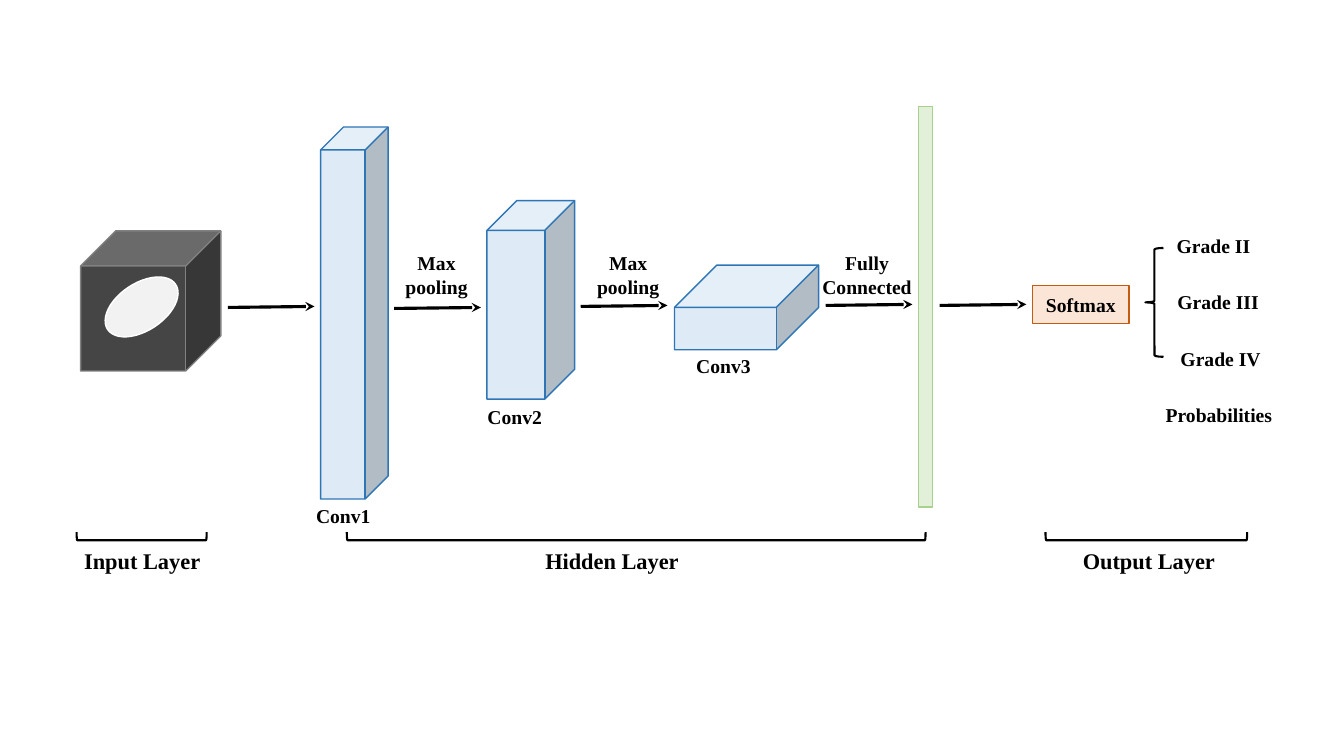
import pptx
import pptx.dml.color
import pptx.enum.shapes
import pptx.enum.text
import pptx.oxml.ns
import pptx.util
from lxml import etree

Inches, Pt = pptx.util.Inches, pptx.util.Pt
SHAPE = pptx.enum.shapes.MSO_SHAPE
ALIGN = pptx.enum.text.PP_ALIGN
ANCHOR = pptx.enum.text.MSO_ANCHOR

# Colours (fill, line) and type sizes
THEME = {
    "font": "Times New Roman", "ink": "000000",
    "label": 14, "layer": 16,
    "scan": ("454545", "808080"), "lesion": ("F2F2F2", "FFFFFF"),
    "conv": ("DEEBF7", "2E75B6"), "dense": ("E2F0D9", "A9D18E"),
    "softmax": ("FBE5D6", "C55A11"), "bracket": (None, "000000"),
}
ARROW_LENGTH = 0.86
LABEL_HEIGHT = 0.34


def rgb(value):
    return pptx.dml.color.RGBColor.from_string(value)


def set_values(target, values):
    for name, value in values.items():
        setattr(target, name, value)


def place(box, x, y, w, h):
    """Turn a position inside a region box into slide lengths."""
    return [Inches(v) for v in (box[0] + x, box[1] + y, w, h)]


def add_part(slide, box, kind, at, role, line_width=1, rotation=0, depth=None):
    part = slide.shapes.add_shape(kind, *place(box, *at))
    part.shadow.inherit = False
    part.rotation = rotation
    fill, line = THEME[role]
    if fill:
        part.fill.solid()
        part.fill.fore_color.rgb = rgb(fill)
    else:
        part.fill.background()
    part.line.color.rgb = rgb(line)
    part.line.width = Pt(line_width)
    if depth is not None:
        part.adjustments[0] = depth
    return part


def write(frame, text, size, align):
    frame.word_wrap = True
    frame.text = text
    for paragraph in frame.paragraphs:
        paragraph.alignment = align
        set_values(paragraph.runs[0].font, {
            "name": THEME["font"], "size": Pt(THEME[size]), "bold": True})
        paragraph.runs[0].font.color.rgb = rgb(THEME["ink"])


def add_label(slide, box, text, at, size="label", align=ALIGN.CENTER):
    label = slide.shapes.add_textbox(*place(box, *at))
    write(label.text_frame, text, size, align)


def add_arrow(slide, box, x, y):
    left, top, length, rise = place(box, x, y, ARROW_LENGTH, 0.01)
    arrow = slide.shapes.add_connector(
        pptx.enum.shapes.MSO_CONNECTOR.STRAIGHT,
        left, top, left + length, top - rise)
    arrow.line.color.rgb = rgb(THEME["ink"])
    arrow.line.width = Pt(2.25)
    qn = pptx.oxml.ns.qn
    etree.SubElement(arrow.line._get_or_add_ln(), qn("a:tailEnd"), type="stealth")
    etree.SubElement(arrow._element.spPr, qn("a:effectLst"))


def add_layer_caption(slide, box, text, bracket_x, span, label_x, label_width):
    """Bracket turned to open upwards, with the layer name below it."""
    thickness, middle = 0.08, 4.26
    at = (bracket_x + (span - thickness) / 2, middle - span / 2, thickness, span)
    add_part(slide, box, SHAPE.LEFT_BRACKET, at, "bracket", 1.5, rotation=270)
    add_label(slide, box, text, (label_x, 4.32, label_width, 0.37), "layer")


def input_layer(slide, box):
    add_part(slide, box, SHAPE.CUBE, (0.1, 1.23, 1.39, 1.39), "scan")
    add_part(slide, box, SHAPE.OVAL, (0.3, 1.75, 0.81, 0.47), "lesion", rotation=326.5)
    add_arrow(slide, box, 1.56, 1.99)
    add_layer_caption(slide, box, "Input Layer", 0.06, 1.29, 0, 1.42)


def hidden_layer(slide, box):
    # Fully connected bar
    add_part(slide, box, SHAPE.RECTANGLE, (6.11, 0, 0.14, 3.97), "dense")

    # Convolution blocks, each with its name below
    convolutions = [
        ((0.18, 0.2, 0.67, 3.69), 0.34, (0, 3.89)),
        ((1.83, 0.93, 0.87, 1.97), 0.34, (1.7, 2.91)),
        ((3.69, 1.57, 1.43, 0.84), 0.5, (3.77, 2.4)),
    ]
    for number, (block, depth, name) in enumerate(convolutions, 1):
        add_part(slide, box, SHAPE.CUBE, block, "conv", depth=depth)
        add_label(slide, box, f"Conv{number}", (*name, 0.81, LABEL_HEIGHT))

    # Steps between the blocks
    for x, y in [(0.91, 2), (2.76, 1.98), (5.19, 1.97), (6.32, 1.97)]:
        add_arrow(slide, box, x, y)
    for text, x, width in [("Max\npooling", 0.91, 0.84),
                           ("Max\npooling", 2.79, 0.88),
                           ("Fully Connected", 5.05, 1.1)]:
        add_label(slide, box, text, (x, 1.38, width, 0.57))
    add_layer_caption(slide, box, "Hidden Layer", 0.44, 5.74, 2.27, 1.6)


def output_layer(slide, box):
    softmax = add_part(slide, box, SHAPE.RECTANGLE, (0, 1.77, 0.96, 0.38), "softmax")
    write(softmax.text_frame, "Softmax", "label", ALIGN.CENTER)
    softmax.text_frame.vertical_anchor = ANCHOR.MIDDLE
    add_part(slide, box, SHAPE.LEFT_BRACE, (1.12, 1.4, 0.18, 1.08), "bracket", 1.5)

    # Predicted grades at an equal step
    outcomes = [
        ("Grade II", 1.28, 1.03, ALIGN.CENTER),
        ("Grade III", 1.34, 1.07, ALIGN.LEFT),
        ("Grade IV", 1.37, 1.05, ALIGN.LEFT),
        ("Probabilities", 1.2, 1.3, ALIGN.CENTER),
    ]
    for row, (text, x, width, align) in enumerate(outcomes):
        at = (x, 1.21 + 0.56 * row, width, LABEL_HEIGHT)
        add_label(slide, box, text, at, align=align)
    add_layer_caption(slide, box, "Output Layer", 0.13, 2, 0.34, 1.63)


presentation = pptx.Presentation()
set_values(presentation, {"slide_width": Inches(13.33), "slide_height": Inches(7.5)})
network = presentation.slides.add_slide(presentation.slide_layouts[6])

# Each region box is given by its left and top
input_layer(network, (0.7, 1.06))
hidden_layer(network, (3, 1.06))
output_layer(network, (10.24, 1.06))
presentation.save("out.pptx")
